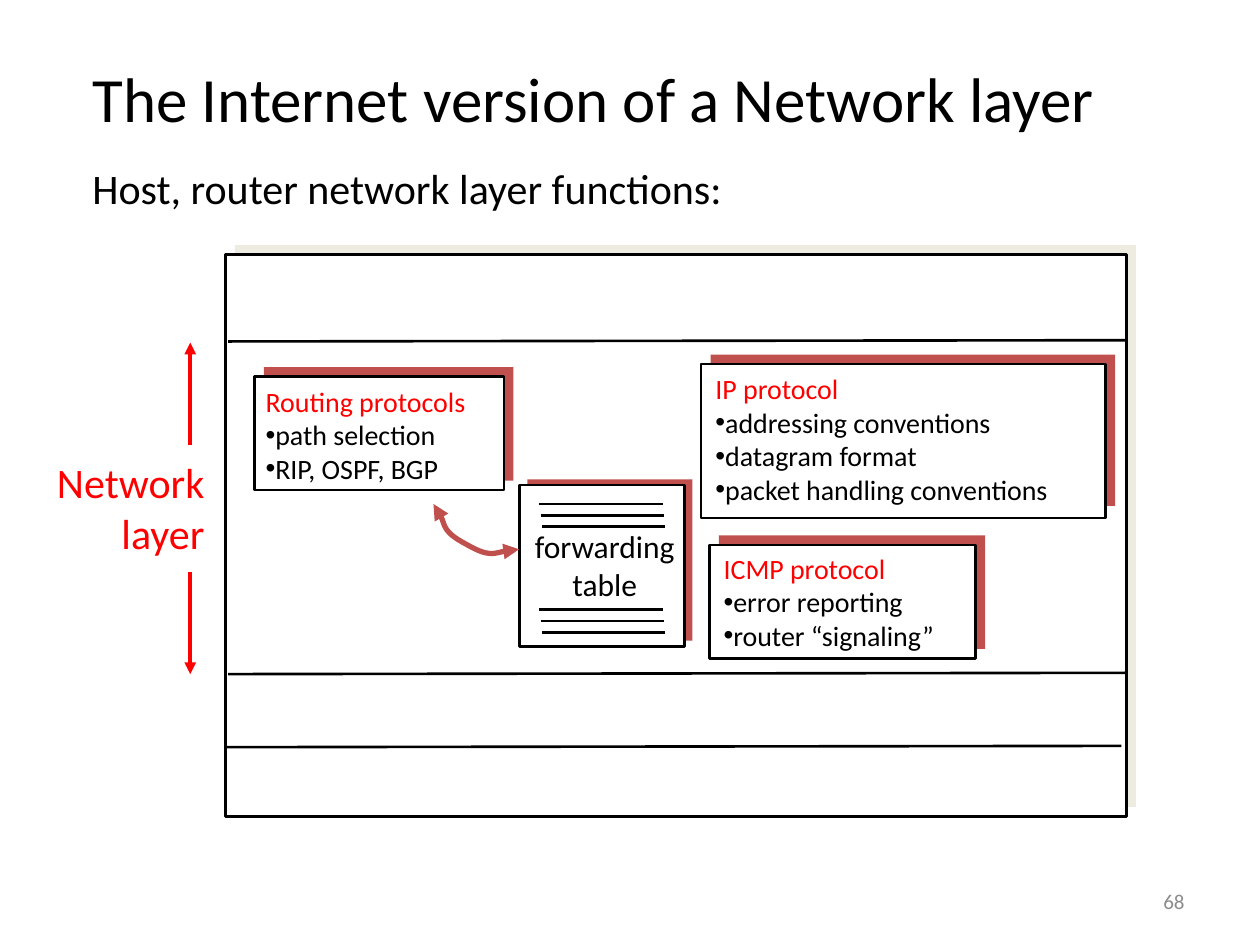
"""Build the slide on the Internet network layer, on a grid of 100 columns by 75 rows."""
from dataclasses import dataclass

import pptx
import pptx.dml.color
import pptx.enum.shapes
import pptx.enum.text
import pptx.oxml
import pptx.oxml.ns
import pptx.util

BLACK, WHITE, RED, BRICK, CREAM, GRAY = "000000", "FFFFFF", "FF0000", "C0504D", "EEECE1", "8C8C8C"
COLUMNS, ROWS = 100, 75
ALIGN = pptx.enum.text.PP_ALIGN
ANCHOR = pptx.enum.text.MSO_ANCHOR

prs = pptx.Presentation()
prs.slide_width, prs.slide_height = pptx.util.Inches(10), pptx.util.Inches(7.5)
s = prs.slides.add_slide(prs.slide_layouts[6])


@dataclass
class Box:
    """A rectangle in columns and rows."""
    left: float
    top: float
    width: float
    height: float


@dataclass
class Card:
    """A framed box with an offset backing and optional headed bullets."""
    box: Box
    backing: str = BRICK
    dx: float = 0.75
    dy: float = -0.75
    trim: float = 0
    heading: str = ""
    bullets: tuple = ()
    inset: float = 0.15
    drop: float = 0.1


@dataclass
class Label:
    """A text block with its format."""
    text: str
    box: Box
    size: float = 18
    color: str = BLACK
    align: ALIGN = ALIGN.CENTER
    anchor: ANCHOR = ANCHOR.TOP


def x(columns: float) -> int:
    """Turn columns into a length."""
    return int(prs.slide_width * columns / COLUMNS)


def y(rows: float) -> int:
    """Turn rows into a length."""
    return int(prs.slide_height * rows / ROWS)


def place(b: Box) -> tuple:
    """Turn a box into slide lengths."""
    return x(b.left), y(b.top), x(b.width), y(b.height)


def rgb(color: str) -> pptx.dml.color.RGBColor:
    """Turn a hex string into a colour."""
    return pptx.dml.color.RGBColor.from_string(color)


def child(parent, tag: str, **attributes: str):
    """Append an XML element with attributes."""
    element = parent.makeelement(pptx.oxml.ns.qn(tag), attributes)
    parent.append(element)
    return element


def add_text(text: str, box: Box, size: float = 18, color: str = BLACK,
             align: ALIGN = ALIGN.LEFT, anchor: ANCHOR = ANCHOR.TOP, bullets: tuple = ()) -> None:
    """Add a text box, with optional black bullets below the text."""
    tf = s.shapes.add_textbox(*place(box)).text_frame
    tf.word_wrap = True
    tf.vertical_anchor = anchor
    heads = text.split("\n")
    for i, line in enumerate([*heads, *bullets]):
        p = tf.paragraphs[0] if i == 0 else tf.add_paragraph()
        p.alignment = align
        is_bullet = i >= len(heads)
        if is_bullet:
            props = p._p.get_or_add_pPr()
            child(props, "a:buFont", typeface="Arial")
            child(props, "a:buChar", char="•")
        r = p.add_run()
        r.text = line
        r.font.name, r.font.size = "Calibri", pptx.util.Pt(size)
        r.font.color.rgb = rgb(BLACK if is_bullet else color)


def add_rect(box: Box, fill: str, outline: bool = False) -> None:
    """Add a plain rectangle."""
    sp = s.shapes.add_shape(pptx.enum.shapes.MSO_SHAPE.RECTANGLE, *place(box))
    sp.shadow.inherit = False
    sp.fill.solid()
    sp.fill.fore_color.rgb = rgb(fill)
    if outline:
        style_line(sp, BLACK, 1.5)
    else:
        sp.line.fill.background()


def style_line(sp, color: str, width: float, ends: tuple = ()) -> None:
    """Set colour, width and arrowheads of a line."""
    sp.line.color.rgb = rgb(color)
    sp.line.width = pptx.util.Pt(width)
    for end in ends:
        child(sp.line._get_or_add_ln(), end, type="triangle")


def add_line(x1: float, y1: float, x2: float, y2: float,
             color: str = BLACK, width: float = 1.5, ends: tuple = ()) -> None:
    """Add a straight line."""
    sp = s.shapes.add_connector(pptx.enum.shapes.MSO_CONNECTOR.STRAIGHT, x(x1), y(y1), x(x2), y(y2))
    style_line(sp, color, width, ends)
    child(sp._element.spPr, "a:effectLst")


def add_curve(points: list, color: str, width: float) -> None:
    """Add a two-headed Bezier curve from a start and triples of control points."""
    start, *rest = [(x(px), y(py)) for px, py in points]
    builder = s.shapes.build_freeform(*start)
    builder.add_line_segments(rest, close=False)
    sp = builder.convert_to_shape()
    sp.shadow.inherit = False
    sp.fill.background()
    style_line(sp, color, width, ("a:headEnd", "a:tailEnd"))
    route = sp._element.find(".//" + pptx.oxml.ns.qn("a:path"))
    steps = route.findall(pptx.oxml.ns.qn("a:lnTo"))
    for i in range(0, len(steps), 3):
        bezier = child(route, "a:cubicBezTo")
        for step in steps[i:i + 3]:
            bezier.append(step[0])
            route.remove(step)


def add_card(card: Card) -> None:
    """Add the backing, the frame and the text of a card."""
    b = card.box
    add_rect(Box(b.left + card.dx, b.top + card.dy, b.width, b.height - card.trim), card.backing)
    add_rect(b, WHITE, outline=True)
    if card.heading:
        add_text(card.heading, Box(b.left + card.inset, b.top + card.drop, b.width, b.height),
                 size=16, color=RED, bullets=card.bullets)


CARDS = [
    Card(Box(17.9, 20.2, 71.5, 44.6), CREAM),
    Card(Box(41.25, 38.5, 13.1, 12.8), dx=0.6, dy=-0.45),
    Card(Box(20.2, 29.9, 19.8, 9), heading="Routing protocols",
         bullets=("path selection", "RIP, OSPF, BGP"), inset=-0.1),
    Card(Box(55.65, 28.9, 32.1, 12.2), trim=0.2, heading="IP protocol",
         bullets=("addressing conventions", "datagram format", "packet handling conventions")),
    Card(Box(56.3, 43.25, 21.15, 9), heading="ICMP protocol",
         bullets=("error reporting", "router “signaling”"), drop=0),
]
LABELS = [
    Label("The Internet version of a Network layer", Box(4.6, 1.5, 85, 12.5), 36, anchor=ANCHOR.MIDDLE),
    Label("Host, router network layer functions:", Box(6.35, 12.4, 82.4, 4.8), 24, align=ALIGN.LEFT),
    Label("forwarding\ntable", Box(40.6, 41.35, 14.8, 7)),
    Label("Network\nlayer", Box(1.7, 35.75, 15.5, 9), 24, RED, ALIGN.RIGHT),
    Label("68", Box(71.7, 69.5, 23.3, 4), 12, GRAY, ALIGN.RIGHT, ANCHOR.MIDDLE),
]

for card in CARDS:
    add_card(card)
for label in LABELS:
    add_text(label.text, label.box, label.size, label.color, label.align, label.anchor)
for left, right, row in ((18.1, 89.5, 27.1), (18.1, 89.5, 53.5), (17.8, 89, 59.3)):
    add_line(left, row, right, row - 0.1)
for first_row in (40, 48.4):
    for i in range(3):
        left, row = 42.8 + 0.1 * i, first_row + 0.9 * i
        add_line(left, row, left + 9.8, row)
for start_row, end_row in ((35.3, 27.2), (45.4, 53.5)):
    add_line(15.1, start_row, 15.1, end_row, RED, 2.25, ("a:tailEnd",))
add_curve([(34.4, 40), (34.9, 40.3), (35.1, 42.2), (37, 43.2),
           (38.9, 44.3), (40.4, 43.6), (41.2, 43.6)], BRICK, 3)

prs.save("out.pptx")
